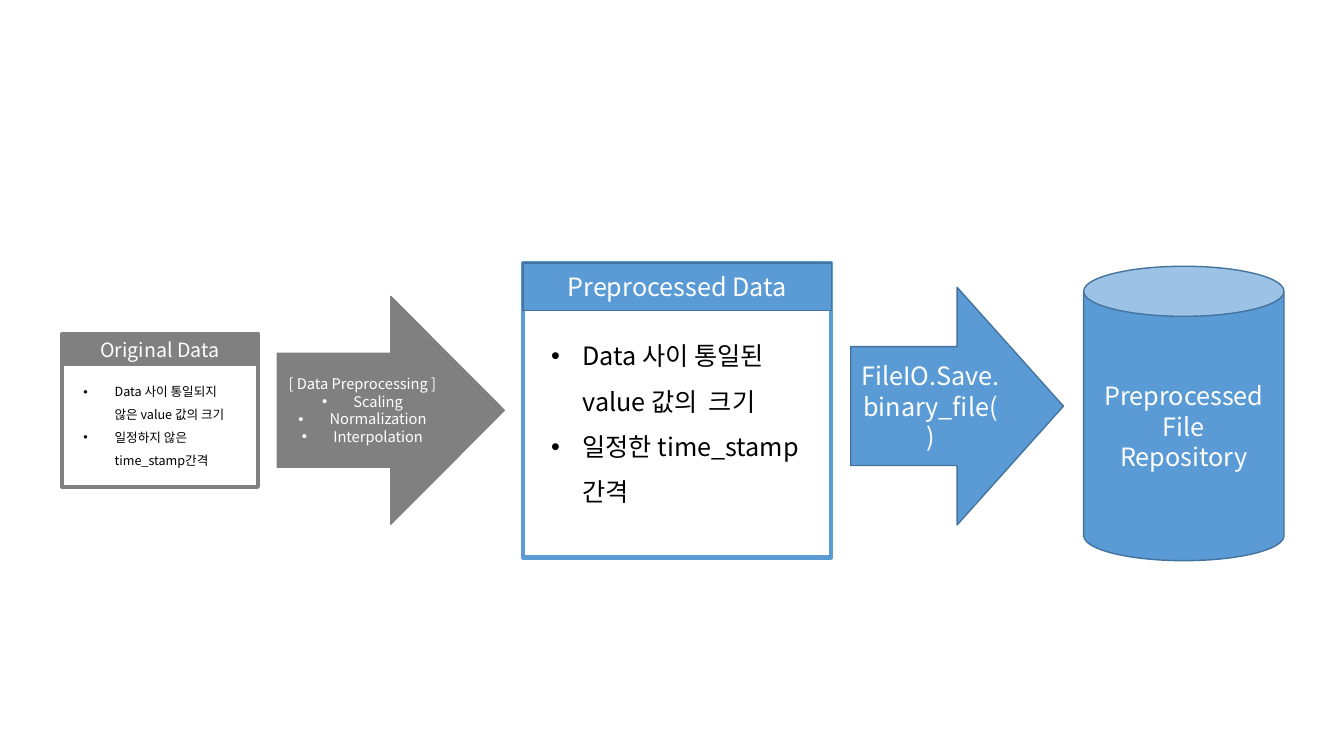
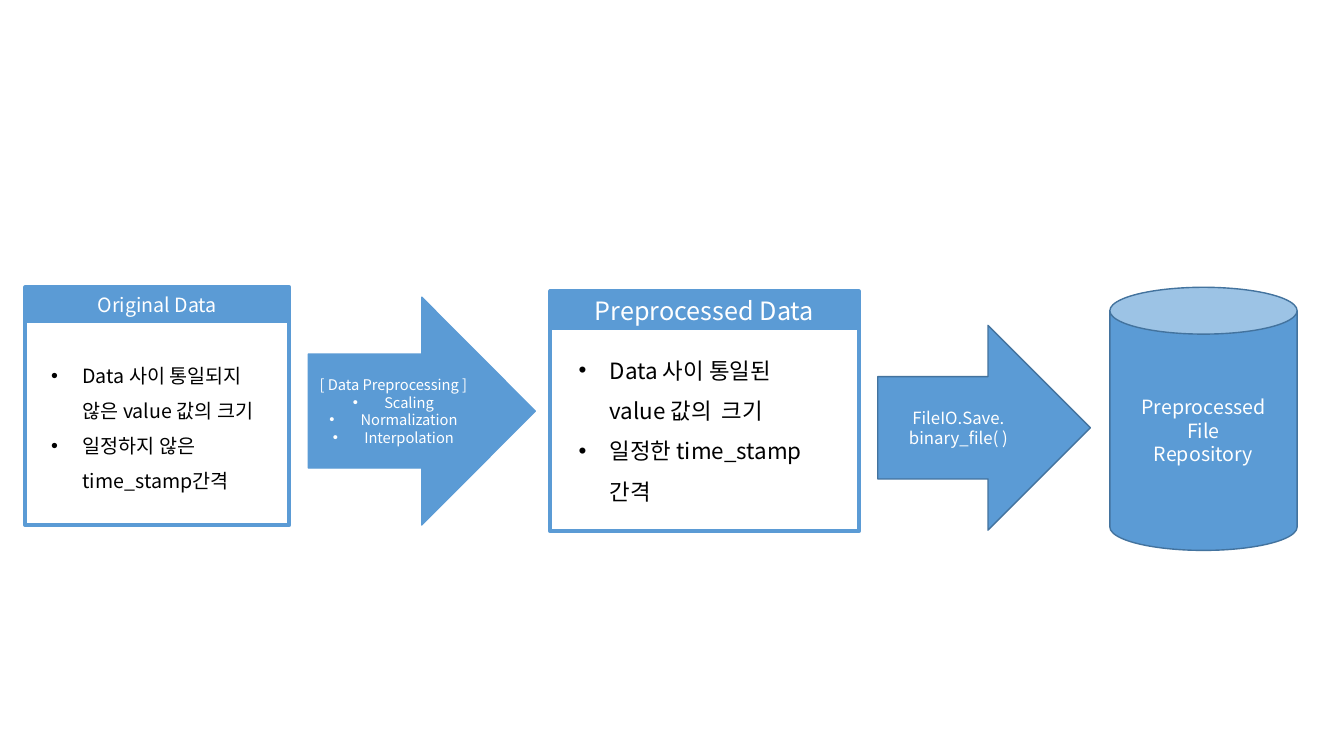
import pptx
import pptx.util
import pptx.dml.color
import pptx.enum.shapes
import pptx.enum.text
import pptx.oxml.ns
import lxml.etree

Cm = pptx.util.Cm
Pt = pptx.util.Pt
KIND = pptx.enum.shapes.MSO_SHAPE
ALIGN = pptx.enum.text.PP_ALIGN
FONT = "Noto Sans CJK KR"
BLUE, EDGE, GRAY = "5B9BD5", "43739E", "808080"
WHITE, BLACK = "FFFFFF", "000000"


def color(text):
    return pptx.dml.color.RGBColor.from_string(text)


def child(node, tag, **attrs):
    return lxml.etree.SubElement(node, pptx.oxml.ns.qn(tag), **attrs)


class Deck:
    def __init__(self):
        self.prs = pptx.Presentation()
        self.prs.slide_width, self.prs.slide_height = Cm(33.87), Cm(19.05)

    def page(self):
        self.slide = self.prs.slides.add_slide(self.prs.slide_layouts[6])

    def label(self, frame, lines, size, ink, align, first=None, space=None):
        """Fill a frame; paragraphs from index first on carry bullets."""
        frame.word_wrap = True
        frame.text = "\n".join(lines)
        for i, para in enumerate(frame.paragraphs):
            para.alignment = align
            if space:
                para.line_spacing = space
            if first is not None and i >= first:
                self.dot(para)
            for run in para.runs:
                run.font.size = Pt(size)
                run.font.name = FONT
                run.font.color.rgb = color(ink)
                child(run._r.get_or_add_rPr(), "a:ea", typeface=FONT)

    def dot(self, para):
        props = para._p.get_or_add_pPr()
        props.set("marL", str(Cm(0.79)))
        props.set("indent", str(-Cm(0.79)))
        child(props, "a:buFont", typeface="Arial")
        child(props, "a:buChar", char="•")

    def shape(self, kind, at, fill, line, lines=(), size=18, width=1, first=None):
        item = self.slide.shapes.add_shape(kind, *map(Cm, at))
        item.shadow.inherit = False
        item.fill.solid()
        item.fill.fore_color.rgb = color(fill)
        item.line.color.rgb = color(line)
        item.line.width = Pt(width)
        if lines:
            frame = item.text_frame
            frame.vertical_anchor = pptx.enum.text.MSO_ANCHOR.MIDDLE
            self.label(frame, lines, size, WHITE, ALIGN.CENTER, first)

    def points(self, at, lines, size):
        box = self.slide.shapes.add_textbox(*map(Cm, at))
        self.label(box.text_frame, lines, size, BLACK, ALIGN.LEFT, 0, 1.5)

    def card(self, at, high, title, size, body, lines, small, fill=BLUE, edge=None):
        """Framed box with a title band and a bullet list."""
        self.shape(KIND.RECTANGLE, at, WHITE, fill, width=3)
        self.shape(KIND.RECTANGLE, (*at[:3], high), fill, edge or fill, [title], size)
        self.points(body, lines, small)

    def arrow(self, at, lines, size, fill=BLUE, edge=EDGE, first=None):
        self.shape(KIND.RIGHT_ARROW, at, fill, edge, lines, size, first=first)

    def store(self, at, lines, size):
        self.shape(KIND.CAN, at, BLUE, EDGE, lines, size)


# Shared wording
RAW = ["Data 사이 통일되지 않은 value 값의 크기", "일정하지 않은 time_stamp간격"]
CLEAN = ["Data 사이 통일된 value 값의  크기", "일정한 time_stamp 간격"]
STEPS = ["[ Data Preprocessing ]", "Scaling", "Normalization", "Interpolation"]
STORE = ["Preprocessed", "File", "Repository"]
FIRST, SECOND = "Original Data", "Preprocessed Data"

deck = Deck()

# Slide 1: finished steps in gray, saving step in blue
deck.page()
deck.card((1.57, 8.41, 4.93, 3.86), 0.79, FIRST, 14,
          (1.85, 9.37, 4.37, 2.57), RAW, 9, GRAY)
deck.arrow((6.99, 7.47, 5.72, 5.74), STEPS, 10.5, GRAY, GRAY, 1)
deck.card((13.18, 6.63, 7.77, 7.42), 1.19, SECOND, 18,
          (13.64, 8.08, 6.88, 3.2), CLEAN, 18, edge=EDGE)
deck.arrow((21.44, 7.24, 5.36, 5.99), ["FileIO.Save.binary_file( )"], 18)
deck.store((27.31, 6.71, 5.05, 7.42), STORE, 18)

# Slide 2: whole flow in blue
deck.page()
deck.card((0.64, 7.24, 6.65, 5.99), 0.89, FIRST, 14,
          (1.04, 8.74, 6.2, 3.15), RAW, 14)
deck.arrow((7.77, 7.49, 5.72, 5.74), STEPS, 10.5, BLUE, BLUE, 1)
deck.card((13.87, 7.34, 7.77, 6.05), 0.97, SECOND, 18,
          (14.33, 8.53, 6.88, 3.56), CLEAN, 16)
deck.arrow((22.12, 8.2, 5.36, 5.16), ["FileIO.Save.", "binary_file( )"], 12)
deck.store((27.97, 7.24, 4.72, 6.63), STORE, 14)

deck.prs.save("out.pptx")
